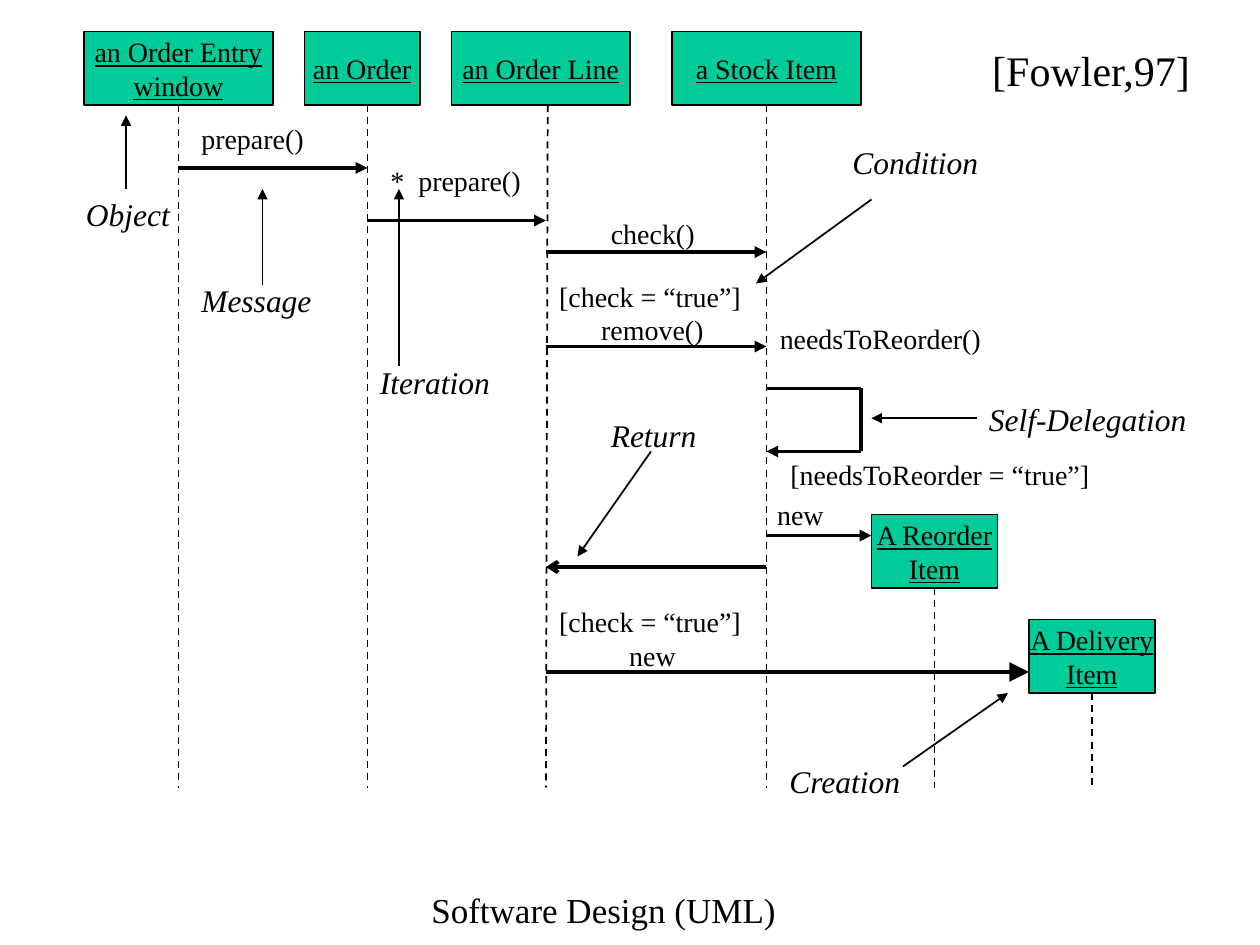
from lxml import etree
from pptx import Presentation
from pptx.dml.color import RGBColor
from pptx.enum.dml import MSO_LINE
from pptx.enum.shapes import MSO_CONNECTOR, MSO_SHAPE
from pptx.enum.text import MSO_ANCHOR, MSO_AUTO_SIZE, PP_ALIGN
from pptx.oxml.ns import qn
from pptx.util import Pt

RECT, STRAIGHT = MSO_SHAPE.RECTANGLE, MSO_CONNECTOR.STRAIGHT
DASH, FIT = MSO_LINE.DASH, MSO_AUTO_SIZE.SHAPE_TO_FIT_TEXT
LEFT, CENTER = PP_ALIGN.LEFT, PP_ALIGN.CENTER
TOP, MIDDLE = MSO_ANCHOR.TOP, MSO_ANCHOR.MIDDLE
COLORS = {"object": "00CC99", "ink": "000000"}
FONT = "Times New Roman"
BOX_H, LIFE_END = 42, 450
THIN, THICK = 1, 2.25
BOTTOM_SITE = 2

# Lifeline positions
ENTRY, ORDER, LINE, STOCK = 102, 210, 312, 438
SELF_X = 492

# Objects: lines of the name, left, top, width, lifeline start x and end x
OBJECTS = [
    (["an Order Entry", "window"], 48, 18, 108, ENTRY, ENTRY),
    (["an Order"], 174, 18, 66, ORDER, ORDER),
    (["an Order Line"], 258, 18, 102, 313, LINE),
    (["a Stock Item"], 384, 18, 108, STOCK, STOCK),
    (["A Reorder", "Item"], 498, 294, 72, 534, 534),
    (["A Delivery", "Item"], 588, 354, 72, 624, 624),
]

# Messages: from x, from y, to x, to y, arrowhead, head size
MESSAGES = [
    (ENTRY, 96, ORDER, 96, "triangle", "med"),
    (ORDER, 126, LINE, 126, "triangle", "med"),
    (LINE, 144, STOCK, 144, "triangle", "med"),
    (LINE, 198, STOCK, 198, "triangle", "med"),
    (STOCK, 222, SELF_X, 222, None, None),
    (SELF_X, 222, SELF_X, 258, None, None),
    (SELF_X, 258, STOCK, 258, "triangle", "med"),
    (STOCK, 324, LINE, 324, "arrow", "med"),
    (STOCK, 306, 498, 306, "triangle", "med"),
    (LINE, 384, 588, 384, "triangle", "lg"),
]

# Message labels: lines, left, top, width, indent of the second line
LABELS = [
    (["prepare()"], 108, 66, 74, 0),
    (["*  prepare()"], 216, 90, 90, 0),
    (["check()"], 342, 120, 63, 0),
    (["[check = “true”]", "remove()"], 312.5, 156, 119, 24),
    (["needsToReorder()"], 438.5, 180, 131, 0),
    (["[needsToReorder = “true”]"], 444.5, 258, 187, 0),
    (["new"], 437, 281, 42, 0),
    (["[check = “true”]", "new"], 312.5, 342, 119, 40),
]

# Notes: text, left, top, width, then the pointer's from and to
NOTES = [
    ("Object", 42, 108, 65, (72, 108), (72, 66)),
    ("Message", 108, 157, 80, (150, 163), (150, 108)),
    ("Iteration", 210, 204, 80, (228, 209), (228, 108)),
    ("Return", 342, 234, 66, (372, 258), (330, 318)),
    ("Creation", 444, 432, 80, (516, 438), (576, 396)),
    ("Condition", 480, 78, 89, (498, 114), (432, 162)),
    ("Self-Delegation", 558, 225, 138, (558, 239), (498, 239)),
]

prs = Presentation()
prs.slide_width, prs.slide_height = Pt(720), Pt(540)
s = prs.slides.add_slide(prs.slide_layouts[6])


def color(name):
    return RGBColor.from_string(COLORS[name])


def write(sp, lines, size, align=LEFT, anchor=TOP, wrap=False, indent=0, **style):
    tf = sp.text_frame
    tf.word_wrap, tf.vertical_anchor = wrap, anchor
    for i, text in enumerate(lines):
        p = tf.paragraphs[0] if i == 0 else tf.add_paragraph()
        p.alignment = align
        if i and indent:
            p._p.get_or_add_pPr().set("marL", str(Pt(indent)))
        r = p.add_run()
        r.text = text
        r.font.color.rgb = color("ink")
        for key, value in {"name": FONT, "size": Pt(size), **style}.items():
            setattr(r.font, key, value)


def add_text(lines, x, y, w, h, size, **options):
    sp = s.shapes.add_textbox(Pt(x), Pt(y), Pt(w), Pt(h))
    write(sp, lines, size, **options)
    sp.text_frame.auto_size = FIT


def add_line(x1, y1, x2, y2, width, head=None, head_size="med", dash=None):
    line = s.shapes.add_connector(STRAIGHT, Pt(x1), Pt(y1), Pt(x2), Pt(y2))
    line.line.width = Pt(width)
    line.line.color.rgb = color("ink")
    if dash:
        line.line.dash_style = dash
    if head:
        etree.SubElement(line.line._get_or_add_ln(), qn("a:tailEnd"),
                         type=head, w=head_size, len=head_size)
    etree.SubElement(line._element.spPr, qn("a:effectLst"))
    return line


# Objects and their lifelines
for lines, x, y, w, life_x, end_x in OBJECTS:
    sp = s.shapes.add_shape(RECT, Pt(x), Pt(y), Pt(w), Pt(BOX_H))
    sp.shadow.inherit = False
    sp.fill.solid()
    sp.fill.fore_color.rgb = color("object")
    sp.line.color.rgb = color("ink")
    sp.line.width = Pt(THIN)
    write(sp, lines, 16, align=CENTER, anchor=MIDDLE, underline=True)
    lifeline = add_line(life_x, y + BOX_H, end_x, LIFE_END, THIN, dash=DASH)
    if life_x == x + w / 2:
        lifeline.begin_connect(sp, BOTTOM_SITE)

# Messages and their labels
for x1, y1, x2, y2, head, head_size in MESSAGES:
    add_line(x1, y1, x2, y2, THICK, head, head_size)
for lines, x, y, w, indent in LABELS:
    add_text(lines, x, y, w, 7.2 + 19.4 * len(lines), 16, indent=indent)

# Notes with pointers
for text, x, y, w, start, end in NOTES:
    add_text([text], x, y, w, 29, 18, italic=True)
    add_line(*start, *end, THIN, "triangle")

# Source and footer
add_text(["[Fowler,97]"], 559.5, 22, 128, 36, 24, align=CENTER, anchor=MIDDLE)
add_text(["Software Design (UML)"], 186, 504, 318, 36, 20, align=CENTER, wrap=True)

prs.save("out.pptx")
